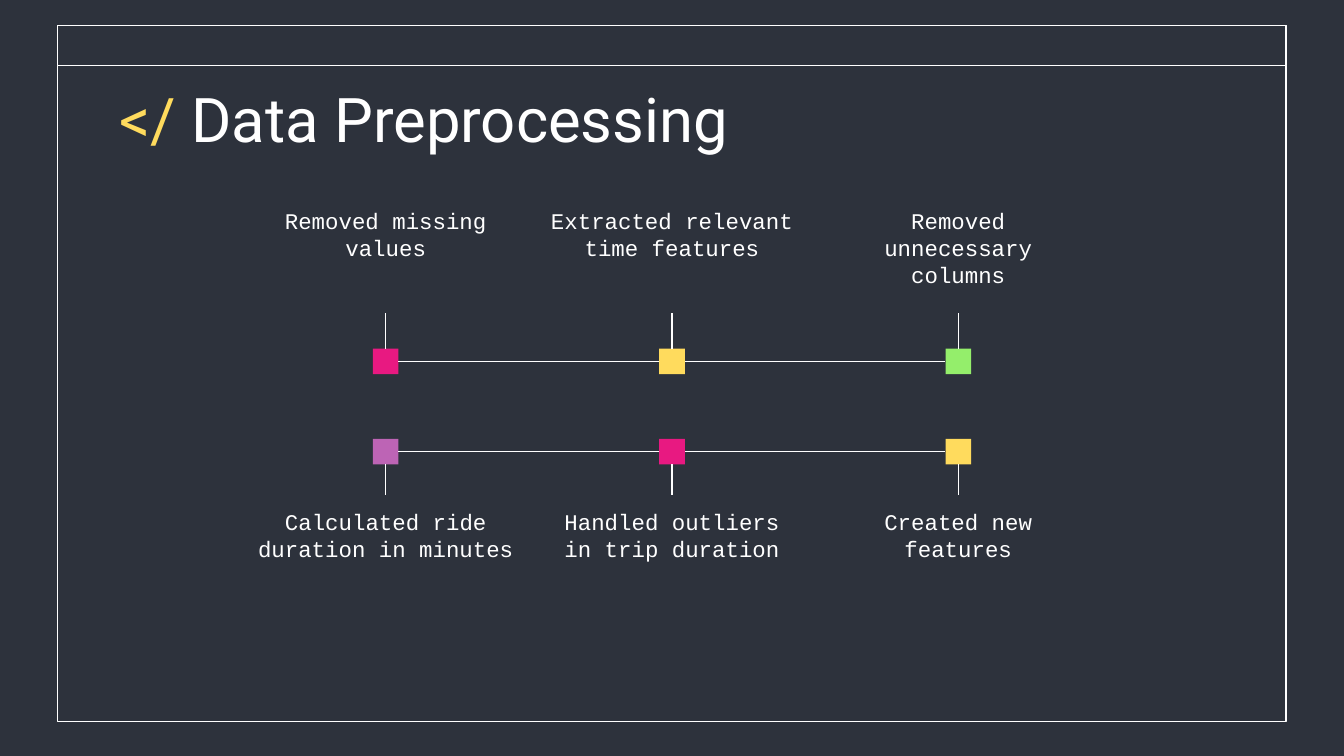
from dataclasses import dataclass

import pptx
import pptx.util
import pptx.dml.color
import pptx.enum.shapes
import pptx.enum.text
import pptx.oxml
import pptx.oxml.ns
import pptx.slide
import pptx.text.text

Inches = pptx.util.Inches
RGBColor = pptx.dml.color.RGBColor
RECT = pptx.enum.shapes.MSO_SHAPE.RECTANGLE
LINE = pptx.enum.shapes.MSO_CONNECTOR.STRAIGHT

DARK = RGBColor(0x2D, 0x32, 0x3C)
WHITE = RGBColor(0xFF, 0xFF, 0xFF)
PINK = RGBColor(0xE8, 0x19, 0x81)
YELLOW = RGBColor(0xFF, 0xDB, 0x5D)
GREEN = RGBColor(0x94, 0xEE, 0x6B)
PURPLE = RGBColor(0xBD, 0x64, 0xB5)

WIDE = 10
TALL = WIDE * 9 / 16
MID = WIDE / 2
STEP = 2.13
SIDE = 0.19
HALF = SIDE / 2

FRAME = {
    "margin_left": Inches(0.1),
    "margin_right": Inches(0.1),
    "margin_top": Inches(0.1),
    "margin_bottom": Inches(0.1),
    "word_wrap": True,
    "auto_size": pptx.enum.text.MSO_AUTO_SIZE.NONE,
    "vertical_anchor": pptx.enum.text.MSO_ANCHOR.TOP,
}
HEAD = {"name": "Roboto", "size": pptx.util.Pt(33)}
BODY = {"name": "Courier New", "size": pptx.util.Pt(12)}


@dataclass
class Step:
    text: str
    color: RGBColor
    width: float = 2.03
    height: float = 0.89


@dataclass
class Row:
    axis: float
    top: float
    tip: float
    steps: list[Step]


ROWS = [
    Row(2.69, 1.44, 2.33, [
        Step("Removed missing values", PINK),
        Step("Extracted relevant time features", YELLOW),
        Step("Removed unnecessary columns", GREEN),
    ]),
    Row(3.36, 3.68, 3.68, [
        Step("Calculated ride duration in minutes", PURPLE, 2.32, 0.63),
        Step("Handled outliers in trip duration", PINK, height=1.1),
        Step("Created new features", YELLOW, height=1.1),
    ]),
]


def apply(item: object, form: dict) -> None:
    for key, value in form.items():
        setattr(item, key, value)


def add_run(para: pptx.text.text._Paragraph, text: str, form: dict, color: RGBColor) -> None:
    run = para.add_run()
    run.text = text
    apply(run.font, form)
    run.font.color.rgb = color


def add_rect(slide: pptx.slide.Slide, box: tuple, fill: RGBColor, edge: RGBColor | None = None) -> None:
    shape = slide.shapes.add_shape(RECT, *map(Inches, box))
    shape.shadow.inherit = False
    shape.fill.solid()
    shape.fill.fore_color.rgb = fill
    if edge is None:
        shape.line.fill.background()
    else:
        shape.line.color.rgb = edge
        shape.line.width = pptx.util.Pt(0.75)


def add_line(slide: pptx.slide.Slide, ends: tuple) -> None:
    line = slide.shapes.add_connector(LINE, *map(Inches, ends))
    line.line.color.rgb = WHITE
    line.line.width = pptx.util.Pt(0.75)
    props = line._element.spPr
    props.append(props.makeelement(pptx.oxml.ns.qn("a:effectLst"), {}))


def add_label(slide: pptx.slide.Slide, step: Step, mid: float, top: float) -> None:
    box = (mid - step.width / 2, top, step.width, step.height)
    frame = slide.shapes.add_textbox(*map(Inches, box)).text_frame
    apply(frame, FRAME)
    para = frame.paragraphs[0]
    para.alignment = pptx.enum.text.PP_ALIGN.CENTER
    add_run(para, step.text, BODY, WHITE)


def add_row(slide: pptx.slide.Slide, row: Row) -> None:
    side = 1 if row.tip > row.axis else -1
    for spot, step in enumerate(row.steps):
        mid = MID + (spot - 1) * STEP
        add_label(slide, step, mid, row.top)
        add_rect(slide, (mid - HALF, row.axis - HALF, SIDE, SIDE), step.color)
        add_line(slide, (mid, row.axis + side * HALF, mid, row.tip))
        if spot:
            add_line(slide, (mid - STEP + HALF, row.axis, mid - HALF, row.axis))


def add_title(slide: pptx.slide.Slide) -> None:
    title = slide.shapes.title
    apply(title, {
        "left": Inches(0.79),
        "top": Inches(0.5),
        "width": Inches(8.43),
        "height": Inches(0.63),
    })
    apply(title.text_frame, FRAME)
    para = title.text_frame.paragraphs[0]
    para.alignment = pptx.enum.text.PP_ALIGN.LEFT
    add_run(para, "</ ", HEAD, YELLOW)
    add_run(para, "Data Preprocessing", HEAD, WHITE)


def main() -> None:
    deck = pptx.Presentation()
    deck.slide_width = Inches(WIDE)
    deck.slide_height = Inches(TALL)
    slide = deck.slides.add_slide(deck.slide_layouts[5])
    slide.background.fill.solid()
    slide.background.fill.fore_color.rgb = DARK
    for height in (5.18, 0.3):
        add_rect(slide, (0.43, 0.19, 9.14, height), DARK, WHITE)
    add_title(slide)
    tree = slide.shapes._spTree
    tree.append(slide.shapes.title._element)
    for row in ROWS:
        add_row(slide, row)
    deck.save("out.pptx")


if __name__ == "__main__":
    main()
